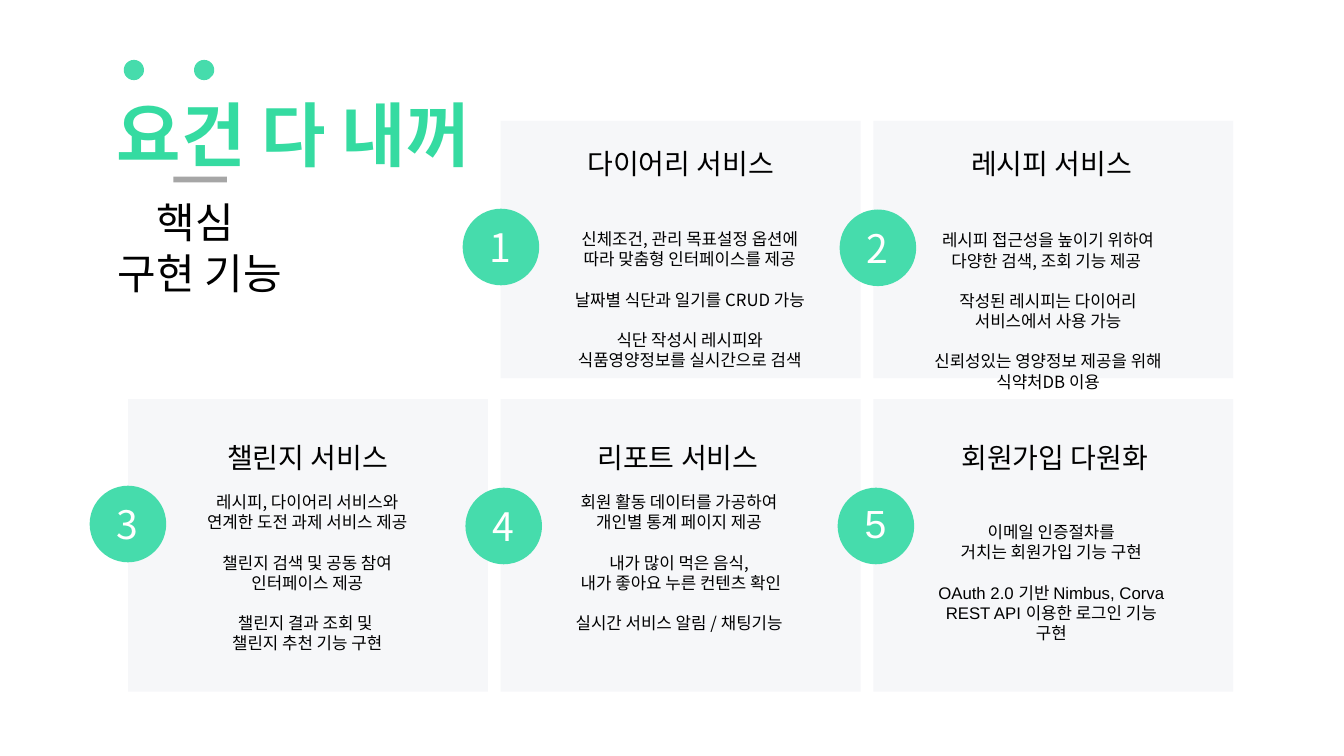
from dataclasses import dataclass

import pptx
import pptx.dml.color
import pptx.enum.shapes
import pptx.enum.text
import pptx.oxml
import pptx.oxml.ns
import pptx.util
from pptx.util import Cm, Pt

COLORS = {
    "card": "F6F7F9",
    "accent": "46DCAC",
    "title": "35DBA1",
    "bar": "A6A6A6",
    "text": "000000",
    "number": "FFFFFF",
}
KOREAN_FONT = "Noto Sans CJK KR"
LATIN_FONT = "Arial"
LINE_RATIO = 1.2
BASELINE_SHIFT = 0.08

CARD_LEFT, CARD_WIDTH, CARD_PITCH = 3.23, 9.07, 9.39
CARD_ROWS = [(3.05, 6.48), (10.06, 7.37)]
HEADING_TOPS = [3.51, 10.92]
HEADING_WIDTH = 6.73
BADGE_SIZE = 1.93

RECT = pptx.enum.shapes.MSO_SHAPE.RECTANGLE
OVAL = pptx.enum.shapes.MSO_SHAPE.OVAL
CENTER = pptx.enum.text.PP_ALIGN.CENTER
LEFT = pptx.enum.text.PP_ALIGN.LEFT


@dataclass(frozen=True)
class Box:
    """Place and size in centimetres."""
    left: float
    top: float
    width: float
    height: float

    def lengths(self) -> list[pptx.util.Length]:
        return [Cm(v) for v in (self.left, self.top, self.width, self.height)]


@dataclass(frozen=True)
class TextStyle:
    size: int
    color: str = "text"
    bold: bool = False
    font: str = KOREAN_FONT
    align: pptx.enum.text.PP_ALIGN = CENTER
    wrap: bool = True


@dataclass(frozen=True)
class Service:
    """One card; each group of features is set apart by one line of space."""
    row: int
    column: int
    heading: str
    heading_left: float
    badge: tuple[float, float]
    features_box: Box
    features: list[list[str]]
    number_font: str = KOREAN_FONT
    features_font: str = KOREAN_FONT


SERVICES = [
    Service(0, 1, "다이어리 서비스", 13.79, (11.66, 5.26), Box(13.89, 5.61, 6.99, 3.8), [
        ["신체조건, 관리 목표설정 옵션에\v따라 맞춤형 인터페이스를 제공"],
        ["날짜별 식단과 일기를 CRUD 가능"],
        ["식단 작성시 레시피와\v식품영양정보를 실시간으로 검색"],
    ]),
    Service(0, 2, "레시피 서비스", 23.14, (21.16, 5.28), Box(23.14, 5.64, 6.55, 4.3), [
        ["레시피 접근성을 높이기 위하여\v다양한 검색, 조회 기능 제공 "],
        ["작성된 레시피는 다이어리\v서비스에서 사용 가능"],
        ["신뢰성있는 영양정보 제공을 위해\v식약처DB 이용"],
    ]),
    Service(1, 0, "챌린지 서비스", 4.39, (2.26, 12.24), Box(4.47, 12.24, 6.55, 4.34), [
        ["레시피, 다이어리 서비스와\v연계한 도전 과제 서비스 제공"],
        ["챌린지 검색 및 공동 참여", "인터페이스 제공"],
        ["챌린지 결과 조회 및 ", "챌린지 추천 기능 구현"],
    ]),
    Service(1, 1, "리포트 서비스", 13.72, (11.73, 12.29), Box(13.84, 12.24, 6.55, 4.34), [
        ["회원 활동 데이터를 가공하여", "개인별 통계 페이지 제공"],
        ["내가 많이 먹은 음식,", " 내가 좋아요 누른 컨텐츠 확인"],
        ["실시간 서비스 알림 / 채팅기능"],
    ]),
    Service(1, 2, " 회원가입 다원화", 23.14, (21.11, 12.29), Box(23.22, 13.03, 6.55, 3.3), [
        ["이메일 인증절차를\v거치는 회원가입 기능 구현"],
        ["OAuth 2.0 기반 Nimbus, Corva\vREST API 이용한 로그인 기능\v구현"],
    ], LATIN_FONT, LATIN_FONT),
]


def rgb(color: str) -> pptx.dml.color.RGBColor:
    return pptx.dml.color.RGBColor.from_string(COLORS[color])


def add_block(slide, kind: pptx.enum.shapes.MSO_SHAPE, box: Box, color: str) -> None:
    block = slide.shapes.add_shape(kind, *box.lengths())
    block.shadow.inherit = False
    block.fill.solid()
    block.fill.fore_color.rgb = rgb(color)
    block.line.fill.background()


def add_text(slide, box: Box, groups: list[list[str]], style: TextStyle) -> None:
    """Write groups of paragraphs, with one line of space between groups."""
    text_box = slide.shapes.add_textbox(*box.lengths())
    if style.font == KOREAN_FONT:
        text_box.top += Pt(BASELINE_SHIFT * style.size)
    frame = text_box.text_frame
    frame.word_wrap = style.wrap
    line_height = Pt(LINE_RATIO * style.size)
    font_format = {"size": Pt(style.size), "bold": style.bold, "name": style.font}
    paragraph = None
    for group_index, group in enumerate(groups):
        for line_index, text in enumerate(group):
            paragraph = frame.add_paragraph() if paragraph else frame.paragraphs[0]
            paragraph.text = text
            starts_group = group_index > 0 and line_index == 0
            paragraph_format = {
                "alignment": style.align,
                "line_spacing": line_height,
                "space_before": line_height if starts_group else Pt(0),
            }
            for key, value in paragraph_format.items():
                setattr(paragraph, key, value)
            for run in paragraph.runs:
                for key, value in font_format.items():
                    setattr(run.font, key, value)
                run.font.color.rgb = rgb(style.color)
                east_asian = pptx.oxml.parse_xml(
                    f'<a:ea {pptx.oxml.ns.nsdecls("a")} typeface="{KOREAN_FONT}"/>')
                run.font._element.find(pptx.oxml.ns.qn("a:latin")).addnext(east_asian)


def add_service(slide, number: int, service: Service) -> None:
    top, height = CARD_ROWS[service.row]
    card_left = CARD_LEFT + service.column * CARD_PITCH
    add_block(slide, RECT, Box(card_left, top, CARD_WIDTH, height), "card")
    add_text(slide, Box(service.heading_left, HEADING_TOPS[service.row], HEADING_WIDTH, 1.12),
             [[service.heading]], TextStyle(20))
    add_text(slide, service.features_box, service.features,
             TextStyle(12, font=service.features_font))
    left, top = service.badge
    add_block(slide, OVAL, Box(left, top, BADGE_SIZE, BADGE_SIZE), "accent")
    add_text(slide, Box(left + 0.43, top + 0.16, 1.14, 1.45), [[str(number)]],
             TextStyle(28, "number", font=service.number_font, align=LEFT, wrap=False))


def add_title(slide) -> None:
    add_text(slide, Box(-2.03, 2.03, 18.87, 2.36), [["요건 다 내꺼"]],
             TextStyle(50, "title", bold=True))
    for dot_left in (3.12, 4.89):
        add_block(slide, OVAL, Box(dot_left, 1.51, 0.51, 0.51), "accent")
    add_text(slide, Box(1.63, 4.75, 6.81, 2.79), [["핵심 ", "구현 기능"]], TextStyle(30))
    add_block(slide, RECT, Box(4.37, 4.45, 1.35, 0.15), "bar")


def main() -> None:
    deck = pptx.Presentation()
    deck.slide_width, deck.slide_height = Cm(33.87), Cm(19.05)
    slide = deck.slides.add_slide(deck.slide_layouts[6])
    add_title(slide)
    for number, service in enumerate(SERVICES, start=1):
        add_service(slide, number, service)
    deck.save("out.pptx")


if __name__ == "__main__":
    main()
